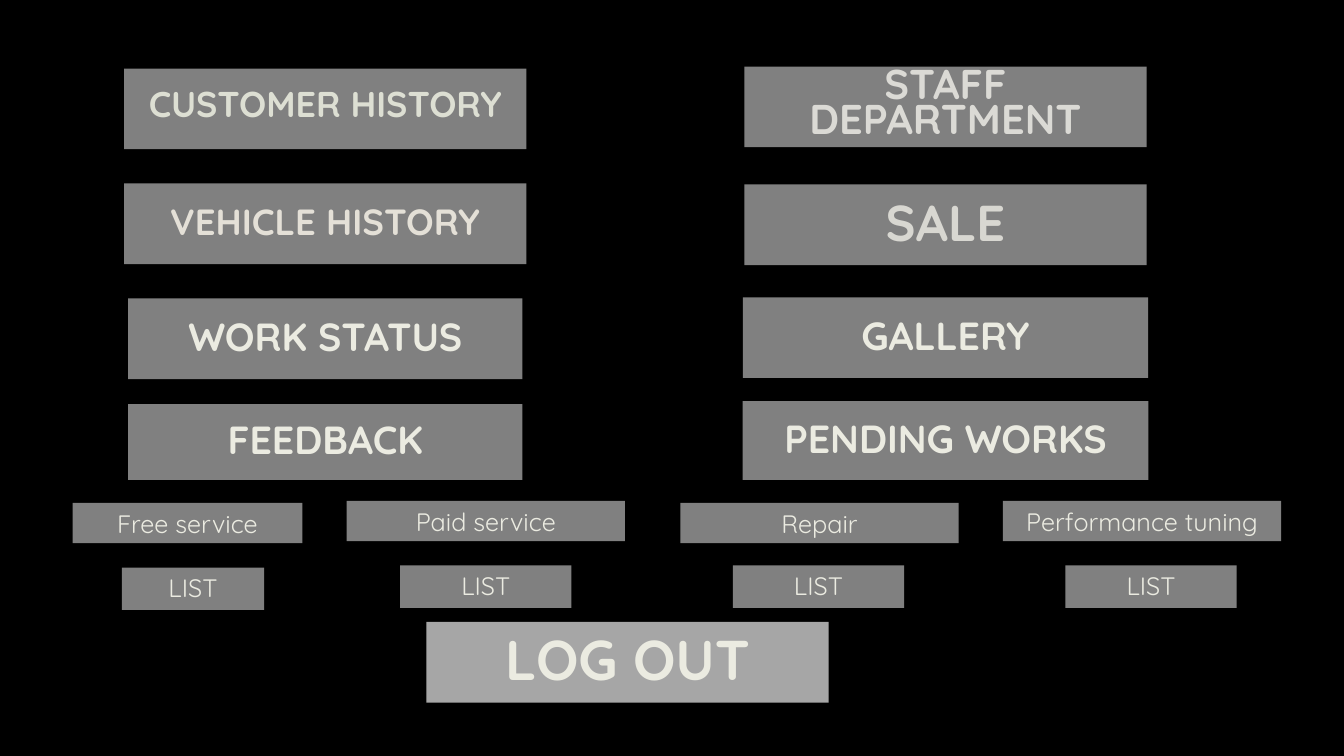
from dataclasses import dataclass

from pptx import Presentation
from pptx.dml.color import RGBColor
from pptx.enum.shapes import MSO_SHAPE
from pptx.enum.text import MSO_ANCHOR, MSO_AUTO_SIZE, PP_ALIGN
from pptx.slide import Slide
from pptx.util import Inches, Pt

SLIDE_WIDTH = Inches(13.333)
SLIDE_HEIGHT = Inches(7.5)
FONT = "Quicksand"

BLACK = RGBColor(0x00, 0x00, 0x00)
GRAY = RGBColor(0x80, 0x80, 0x80)
LIGHT_GRAY = RGBColor(0xA6, 0xA6, 0xA6)
IVORY = RGBColor(0xEB, 0xEB, 0xE1)
SAGE = RGBColor(0xDD, 0xDF, 0xD3)
SAND = RGBColor(0xE4, 0xE0, 0xD7)
PEARL = RGBColor(0xDB, 0xDA, 0xD5)
STONE = RGBColor(0xD8, 0xD7, 0xD1)

LEFT_MENU = 24.2
RIGHT_MENU = 70.35


@dataclass(frozen=True)
class Button:
    label: str
    center: float
    top: float
    width: float = 29.93
    height: float = 10.67
    size: float = 28
    color: RGBColor = IVORY
    fill: RGBColor = GRAY
    line_spacing: float = 0.9
    is_menu: bool = True


@dataclass(frozen=True)
class Service:
    label: str
    center: float
    top: float
    width: float
    list_center: float
    list_top: float = 74.8
    list_width: float = 12.75

    def buttons(self) -> list[Button]:
        return [
            Button(self.label, self.center, self.top, self.width, 5.33,
                   size=18, line_spacing=1.0, is_menu=False),
            Button("LIST", self.list_center, self.list_top, self.list_width, 5.6,
                   size=18, line_spacing=1.0, is_menu=False),
        ]


MENU = [
    Button("CUSTOMER HISTORY", LEFT_MENU, 9.07, size=25.6, color=SAGE, line_spacing=0.7),
    Button("VEHICLE HISTORY", LEFT_MENU, 24.27, size=26, color=SAND),
    Button("WORK STATUS", LEFT_MENU, 39.47, width=29.33),
    Button("FEEDBACK", LEFT_MENU, 53.47, width=29.33, height=10),
    Button("STAFF DEPARTMENT", RIGHT_MENU, 8.8, size=29.7, color=PEARL, line_spacing=0.7),
    Button("SALE", RIGHT_MENU, 24.4, size=36, color=STONE),
    Button("GALLERY", RIGHT_MENU, 39.33, width=30.15),
    Button("PENDING WORKS", RIGHT_MENU, 53.07, width=30.2, height=10.4),
]

SERVICES = [
    Service("Free service", 13.95, 66.53, 17.1, 14.36, list_top=75.07, list_width=10.58),
    Service("Paid service", 36.15, 66.27, 20.7, 36.15),
    Service("Repair", 60.98, 66.53, 20.7, 60.9),
    Service("Performance tuning", 84.98, 66.27, 20.7, 85.65),
]

LOG_OUT = Button("LOG OUT", 46.7, 82.27, size=40, fill=LIGHT_GRAY)


def across(percent: float) -> int:
    return round(SLIDE_WIDTH * percent / 100)


def down(percent: float) -> int:
    return round(SLIDE_HEIGHT * percent / 100)


def draw_button(slide: Slide, button: Button) -> None:
    box = slide.shapes.add_shape(
        MSO_SHAPE.RECTANGLE,
        across(button.center - button.width / 2), down(button.top),
        across(button.width), down(button.height),
    )
    box.shadow.inherit = False
    box.fill.solid()
    box.fill.fore_color.rgb = button.fill
    box.line.fill.background()

    frame = box.text_frame
    frame.word_wrap = True
    frame.vertical_anchor = MSO_ANCHOR.MIDDLE if button.is_menu else MSO_ANCHOR.TOP
    frame.auto_size = MSO_AUTO_SIZE.NONE if button.is_menu else MSO_AUTO_SIZE.SHAPE_TO_FIT_TEXT

    paragraph = frame.paragraphs[0]
    paragraph.alignment = PP_ALIGN.CENTER
    paragraph.line_spacing = button.line_spacing
    run = paragraph.add_run()
    run.text = button.label
    run.font.name = FONT
    run.font.size = Pt(button.size)
    run.font.bold = button.is_menu
    run.font.color.rgb = button.color


def main() -> None:
    presentation = Presentation()
    presentation.slide_width = SLIDE_WIDTH
    presentation.slide_height = SLIDE_HEIGHT
    slide = presentation.slides.add_slide(presentation.slide_layouts[6])
    slide.background.fill.solid()
    slide.background.fill.fore_color.rgb = BLACK

    service_buttons = [button for service in SERVICES for button in service.buttons()]
    for button in [*MENU, *service_buttons, LOG_OUT]:
        draw_button(slide, button)

    presentation.save("out.pptx")


if __name__ == "__main__":
    main()
